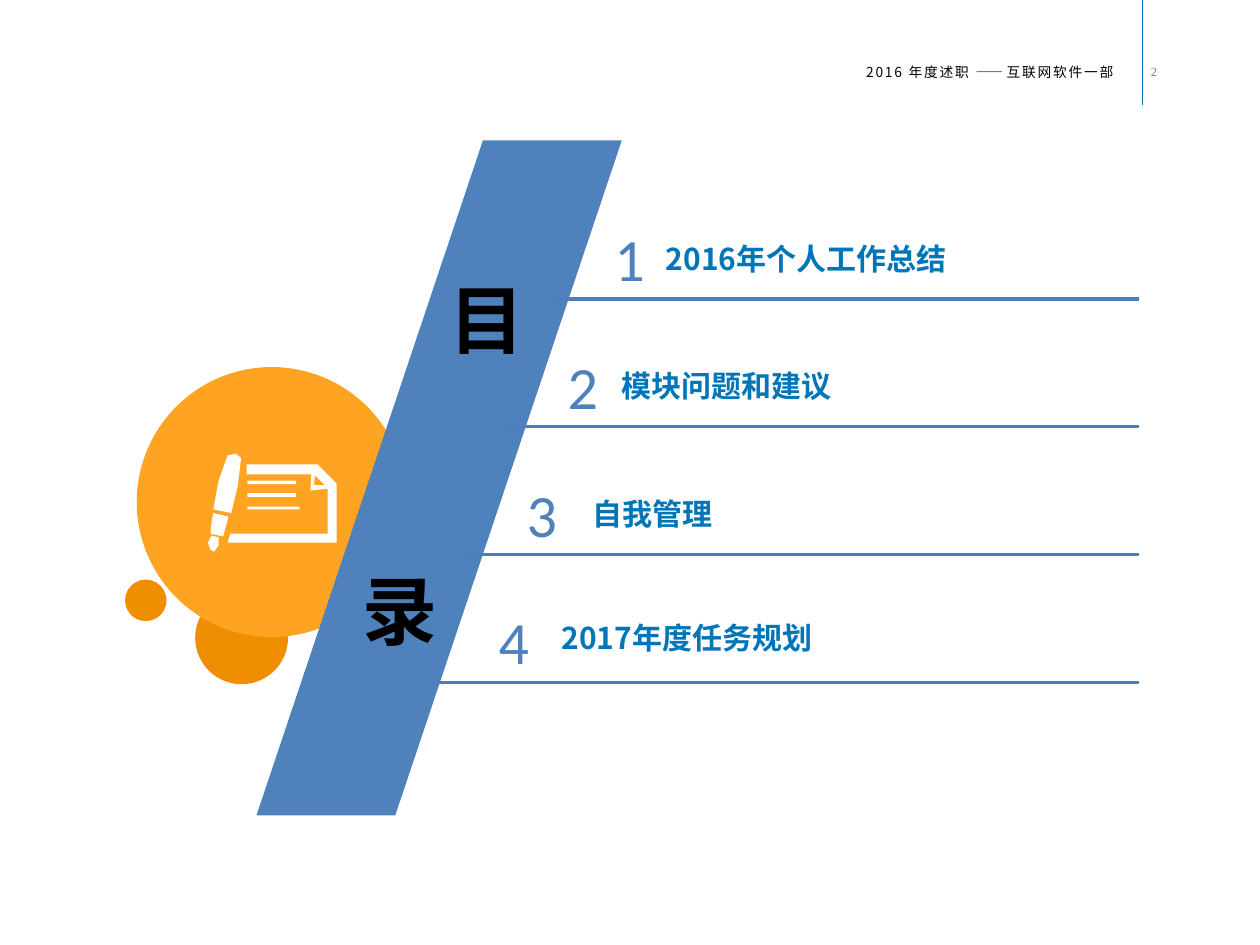
import dataclasses

import pptx
import pptx.dml.color
import pptx.enum.shapes
import pptx.enum.text
import pptx.oxml.ns
import pptx.util
from lxml import etree

Cm = pptx.util.Cm
Pt = pptx.util.Pt
SHAPE = pptx.enum.shapes.MSO_SHAPE
ALIGN = pptx.enum.text.PP_ALIGN
qn = pptx.oxml.ns.qn


@dataclasses.dataclass(frozen=True)
class Theme:
    band: str = "4F81BD"
    rule: str = "4B7EBC"
    accent: str = "0076B8"
    orange: str = "FFA422"
    dark_orange: str = "EE8E00"
    white: str = "FFFFFF"
    black: str = "000000"
    grey: str = "808080"
    latin: str = "Calibri"
    cjk: str = "Noto Sans CJK SC"
    serif: str = "Times New Roman"
    page_size: int = 10
    header_size: int = 11
    item_size: int = 24
    number_size: int = 48
    heading_size: int = 60


def rgb(value):
    return pptx.dml.color.RGBColor.from_string(value)


def write_text(tf, text, *, size, color, font, cjk, bold=False, align=ALIGN.LEFT, spacing=0):
    p = tf.paragraphs[0]
    p.alignment = align
    r = p.add_run()
    r.text = text
    r.font.size = Pt(size)
    r.font.bold = bold
    r.font.name = font
    r.font.color.rgb = rgb(color)
    rPr = r.font._element
    etree.SubElement(rPr, qn("a:ea")).set("typeface", cjk)
    if spacing:
        rPr.set("spc", str(round(spacing * 100)))


class Page:
    def __init__(self, slide, theme):
        self.s = slide
        self.theme = theme

    def paint(self, sp, color):
        sp.shadow.inherit = False
        sp.fill.solid()
        sp.fill.fore_color.rgb = rgb(color)
        sp.line.fill.background()

    def shape(self, kind, left, top, width, height, color, adjust=None):
        sp = self.s.shapes.add_shape(kind, Cm(left), Cm(top), Cm(width), Cm(height))
        self.paint(sp, color)
        if adjust is not None:
            sp.adjustments[0] = adjust

    def circle(self, left, top, size, color):
        self.shape(SHAPE.OVAL, left, top, size, size, color)

    def outline(self, contours, scale, color):
        first, *others = contours
        builder = self.s.shapes.build_freeform(*first[0], scale=scale)
        builder.add_line_segments(first[1:], close=True)
        for points in others:
            builder.move_to(*points[0])
            builder.add_line_segments(points[1:], close=True)
        self.paint(builder.convert_to_shape(), color)

    def line(self, x1, y1, x2, y2, color, width):
        cx = self.s.shapes.add_connector(
            pptx.enum.shapes.MSO_CONNECTOR.STRAIGHT, Cm(x1), Cm(y1), Cm(x2), Cm(y2))
        cx.line.color.rgb = rgb(color)
        cx.line.width = Pt(width)
        etree.SubElement(cx._element.spPr, qn("a:effectLst"))

    def text(self, left, top, width, height, text, *, wrap=True, **style):
        sp = self.s.shapes.add_textbox(Cm(left), Cm(top), Cm(width), Cm(height))
        tf = sp.text_frame
        tf.word_wrap = wrap
        tf.auto_size = pptx.enum.text.MSO_AUTO_SIZE.SHAPE_TO_FIT_TEXT
        write_text(tf, text, cjk=self.theme.cjk, **style)


def bar(left, top, right, bottom):
    return [(left, top), (right, top), (right, bottom), (left, bottom)]


# Pen and paper icon, in hundredths of an inch
ICON_SCALE = Cm(2.54) / 100
PEN_BODY = [(253, 506), (262, 504.5), (268, 509), (264, 541), (257, 570),
            (247, 567.5), (237, 566), (243, 534)]
PEN_GRIP = [(237, 570), (235, 581), (234, 593), (248, 596), (254, 574)]
PEN_TIP = [(235, 595), (243, 597), (243, 606), (238, 613), (234, 611), (231, 603)]
SHEET = [(256, 593), (253, 603), (374, 603), (374, 537), (353, 516), (274, 516),
         (274, 527), (346, 527), (345, 545), (364, 543), (364, 593)]
FOLD = [(361, 539), (349, 539), (350, 528)]
WRITING = [bar(275, 534, 329, 538), bar(275, 548, 329, 552), bar(275, 563, 333, 566)]

# Agenda: text, rule start, number left, text left, text rise above rule
AGENDA = [
    ("2016年个人工作总结", 15.65, 17.09, 18.54, 1.78),
    ("模块问题和建议", 14.27, 15.77, 17.3, 1.78),
    ("自我管理", 13.11, 14.61, 16.48, 1.8),
    ("2017年度任务规划", 12.37, 13.82, 15.6, 1.9),
]
FIRST_RULE, RULE_STEP, RULE_END = 8.43, 3.61, 32.16


def main():
    prs = pptx.Presentation()
    prs.slide_width, prs.slide_height = Cm(35.56), Cm(26.67)
    theme = Theme()
    page = Page(prs.slides.add_slide(prs.slide_layouts[6]), theme)

    # Running header
    page.line(32.23, 0, 32.23, 2.69 + 0.28, theme.accent, 0.5)
    page.text(32.23, 1.68, 1.73, 0.69, "2",
              size=theme.page_size, color=theme.grey, font=theme.serif)
    page.text(21.39, 1.68, 10.29, 0.71, "2016 年度述职 ——互联网软件一部",
              size=theme.header_size, color=theme.black, font=theme.cjk,
              align=ALIGN.RIGHT, spacing=1.4)

    # Circles, icon and slanted band
    page.circle(5.51, 16.69, 2.62, theme.dark_orange)
    page.circle(3.86, 10.36, 7.62, theme.orange)
    page.circle(3.53, 16.36, 1.17, theme.dark_orange)
    page.outline([PEN_BODY, PEN_GRIP, PEN_TIP, SHEET, FOLD, *WRITING],
                 ICON_SCALE, theme.white)
    page.shape(SHAPE.PARALLELOGRAM, 7.24, 3.96, 10.31, 19.05, theme.band, adjust=0.62)

    # Agenda rows
    for i, (text, rule_left, number_left, text_left, rise) in enumerate(AGENDA):
        y = FIRST_RULE + i * RULE_STEP
        page.line(rule_left, y, RULE_END, y, theme.rule, 3)
        page.text(number_left, y - 2.31, 1.42, 2.31, str(i + 1), wrap=False,
                  size=theme.number_size, color=theme.band, font=theme.latin)
        page.text(text_left, y - rise, 9.42, 1.27, text, bold=True,
                  size=theme.item_size, color=theme.accent, font=theme.cjk)

    # Heading on the band
    for char, left, top in (("目", 12.45, 7.59), ("录", 9.98, 15.8)):
        page.text(left, top, 2.49, 2.82, char, bold=True,
                  size=theme.heading_size, color=theme.black, font=theme.latin)

    prs.save("out.pptx")


if __name__ == "__main__":
    main()
